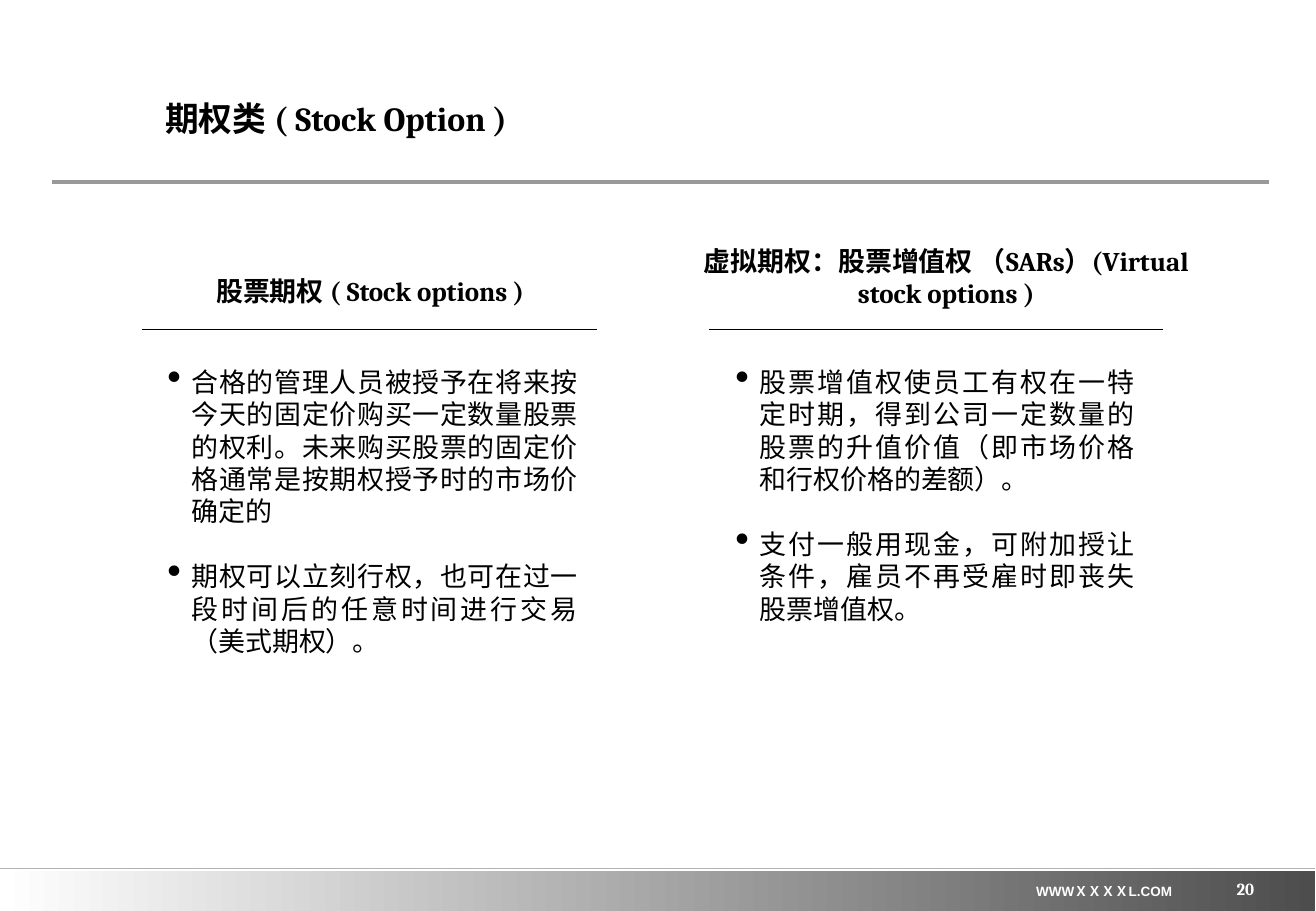
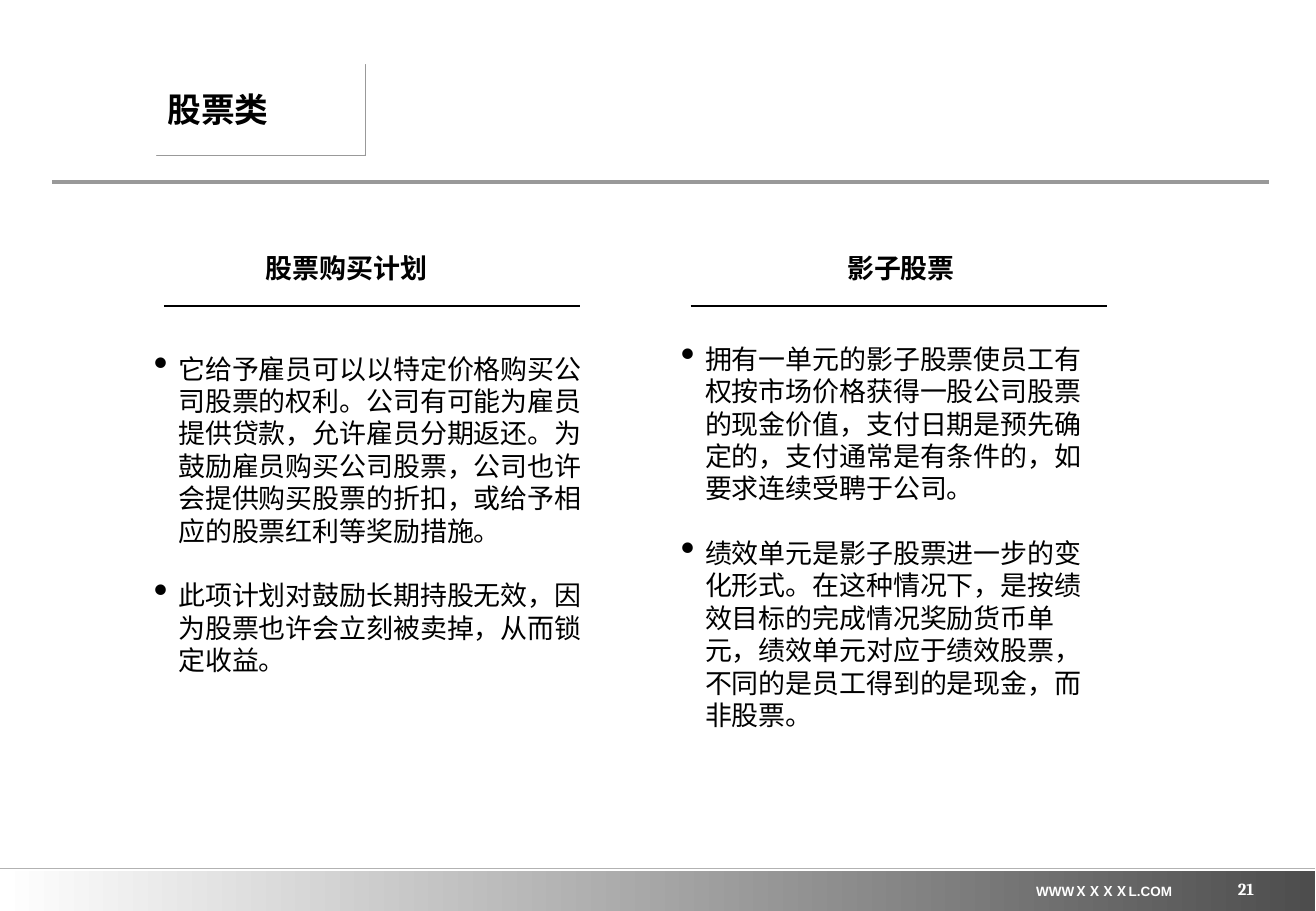
import dataclasses
import typing

import lxml.etree
import pptx
import pptx.dml.color
import pptx.enum.dml
import pptx.enum.shapes
import pptx.enum.text
import pptx.oxml.ns
import pptx.util

Inches = pptx.util.Inches
Pt = pptx.util.Pt
RGBColor = pptx.dml.color.RGBColor
Align = pptx.enum.text.PP_ALIGN
Anchor = pptx.enum.text.MSO_ANCHOR
qn = pptx.oxml.ns.qn


@dataclasses.dataclass(frozen=True)
class Theme:
    black: str = "000000"
    white: str = "FFFFFF"
    rule: str = "999999"
    band_end: str = "4D4D4D"
    band_edge: str = "B2B2B2"
    heading_font: str = "Cambria"
    body_font: str = "Times New Roman"
    footer_font: str = "Arial"
    title_size: float = 20
    text_size: float = 16
    number_size: float = 10
    footer_size: float = 8
    paragraph_gap: float = 19.2


THEME = Theme()


class Box(typing.NamedTuple):
    left: float
    top: float
    width: float
    height: float

    def lengths(self) -> list[int]:
        return [Inches(value) for value in self]


class TextStyle(typing.NamedTuple):
    size: float
    font: str = THEME.heading_font
    color: str = THEME.black
    bold: bool = True
    align: Align = Align.LEFT
    bulleted: bool = False


class Rule(typing.NamedTuple):
    left: float
    right: float
    top: float
    color: str = THEME.black
    weight: float = 0.75


@dataclasses.dataclass(frozen=True)
class Column:
    heading: str
    heading_box: Box
    rule: Rule
    body_box: Box
    points: tuple[str, ...]


@dataclasses.dataclass(frozen=True)
class Page:
    number: int
    title: str
    title_box: Box
    framed_title: bool
    heading_align: Align
    body_font: str
    body_align: Align
    columns: tuple[Column, ...]


NO_MARGINS = dict.fromkeys(
    ("margin_left", "margin_top", "margin_right", "margin_bottom"), 0
)
TITLE = TextStyle(THEME.title_size)
NUMBER = TextStyle(THEME.number_size, color=THEME.white, align=Align.RIGHT)
FOOTER = TextStyle(
    THEME.footer_size, THEME.footer_font, THEME.white, align=Align.CENTER
)

SHARED_RULES = (
    Rule(0.43, 10.45, 1.5, THEME.rule, 2.5),
    Rule(0, 10.83, 7.15, THEME.band_edge, 1),
)

PAGES = (
    Page(
        20, "期权类 ( Stock Option )", Box(1.36, 0.68, 3.79, 0.58), False,
        Align.CENTER, THEME.body_font, Align.JUSTIFY,
        (
            Column(
                "股票期权 ( Stock options )",
                Box(1.26, 2.21, 3.58, 0.5),
                Rule(1.17, 4.92, 2.71),
                Box(1.28, 2.96, 3.58, 2.92),
                (
                    "合格的管理人员被授予在将来按今天的固定价购买一定数量股票的权利。"
                    "未来购买股票的固定价格通常是按期权授予时的市场价确定的",
                    "期权可以立刻行权，也可在过一段时间后的任意时间进行交易（美式期权）。",
                ),
            ),
            Column(
                "虚拟期权：股票增值权 （SARs）(Virtual stock options )",
                Box(5.67, 1.96, 4.25, 0.75),
                Rule(5.84, 9.58, 2.71),
                Box(5.96, 2.96, 3.49, 2.42),
                (
                    "股票增值权使员工有权在一特定时期，得到公司一定数量的股票的升值价值"
                    "（即市场价格和行权价格的差额）。",
                    "支付一般用现金，可附加授让条件，雇员不再受雇时即丧失股票增值权。",
                ),
            ),
        ),
    ),
    Page(
        21, "股票类", Box(1.28, 0.52, 1.72, 0.75), True,
        Align.JUSTIFY, THEME.heading_font, Align.LEFT,
        (
            Column(
                "股票购买计划",
                Box(2.09, 2.02, 1.88, 0.42),
                Rule(1.35, 4.78, 2.52),
                Box(1.17, 2.85, 3.79, 3.08),
                (
                    "它给予雇员可以以特定价格购买公司股票的权利。公司有可能为雇员提供贷款，"
                    "允许雇员分期返还。为鼓励雇员购买公司股票，公司也许会提供购买股票的折扣，"
                    "或给予相应的股票红利等奖励措施。",
                    "此项计划对鼓励长期持股无效，因为股票也许会立刻被卖掉，从而锁定收益。",
                ),
            ),
            Column(
                "影子股票",
                Box(6.88, 2.02, 1.25, 0.42),
                Rule(5.69, 9.12, 2.52),
                Box(5.51, 2.77, 3.7, 3.5),
                (
                    "拥有一单元的影子股票使员工有权按市场价格获得一股公司股票的现金价值，"
                    "支付日期是预先确定的，支付通常是有条件的，如要求连续受聘于公司。",
                    "绩效单元是影子股票进一步的变化形式。在这种情况下，"
                    "是按绩效目标的完成情况奖励货币单元，绩效单元对应于绩效股票，"
                    "不同的是员工得到的是现金，而非股票。",
                ),
            ),
        ),
    ),
)


def set_attributes(target: typing.Any, values: dict[str, typing.Any]) -> None:
    for name, value in values.items():
        setattr(target, name, value)


def add_bullet(paragraph: typing.Any) -> None:
    properties = paragraph._p.get_or_add_pPr()
    properties.set("marL", str(Inches(0.2)))
    properties.set("indent", str(Inches(-0.2)))
    properties.set("hangingPunct", "0")
    color = lxml.etree.SubElement(properties, qn("a:buClr"))
    lxml.etree.SubElement(color, qn("a:srgbClr"), val=THEME.black)
    lxml.etree.SubElement(properties, qn("a:buSzPct"), val="150000")
    lxml.etree.SubElement(properties, qn("a:buChar"), char="•")


def write_text(
    shape: typing.Any, texts: tuple[str, ...], style: TextStyle, **frame_format: typing.Any
) -> None:
    frame = shape.text_frame
    set_attributes(frame, {"word_wrap": True, **frame_format})
    for index, text in enumerate(texts):
        paragraph = frame.add_paragraph() if index else frame.paragraphs[0]
        paragraph.alignment = style.align
        if index:
            paragraph.space_before = Pt(THEME.paragraph_gap)
        if style.bulleted:
            add_bullet(paragraph)
        run = paragraph.add_run()
        run.text = text
        set_attributes(
            run.font,
            {"size": Pt(style.size), "name": style.font, "bold": style.bold},
        )
        run.font.color.rgb = RGBColor.from_string(style.color)


def add_text(
    slide: typing.Any, box: Box, texts: tuple[str, ...], style: TextStyle,
    **frame_format: typing.Any,
) -> None:
    shape = slide.shapes.add_textbox(*box.lengths())
    write_text(shape, texts, style, **frame_format)


def add_rectangle(slide: typing.Any, box: Box) -> typing.Any:
    shape = slide.shapes.add_shape(
        pptx.enum.shapes.MSO_SHAPE.RECTANGLE, *box.lengths()
    )
    shape.shadow.inherit = False
    return shape


def add_rule(slide: typing.Any, rule: Rule) -> None:
    connector = slide.shapes.add_connector(
        pptx.enum.shapes.MSO_CONNECTOR.STRAIGHT,
        Inches(rule.left), Inches(rule.top), Inches(rule.right), Inches(rule.top),
    )
    connector.line.color.rgb = RGBColor.from_string(rule.color)
    connector.line.width = Pt(rule.weight)
    lxml.etree.SubElement(connector._element.spPr, qn("a:effectLst"))


def add_shared_parts(slide: typing.Any, number: int) -> None:
    band = add_rectangle(slide, Box(0, 7.17, 10.83, 0.33))
    band.line.fill.background()
    band.fill.gradient()
    band.fill.gradient_angle = 0
    for stop, color, position in zip(
        band.fill.gradient_stops, (THEME.white, THEME.band_end), (0, 1)
    ):
        stop.color.rgb = RGBColor.from_string(color)
        stop.position = position
    for rule in SHARED_RULES:
        add_rule(slide, rule)
    add_text(slide, Box(8.2, 7.22, 1.79, 0.24), ("WWWＸＸＸＸL.COM",), FOOTER)
    add_text(
        slide, Box(8.07, 7.07, 2.26, 0.33), (str(number),), NUMBER,
        vertical_anchor=Anchor.BOTTOM, **NO_MARGINS,
    )


def add_framed_title(slide: typing.Any, page: Page) -> None:
    shape = add_rectangle(slide, page.title_box)
    shape.fill.solid()
    shape.fill.fore_color.rgb = RGBColor.from_string(THEME.white)
    shape.line.color.rgb = RGBColor.from_string(THEME.white)
    shape.line.width = Pt(0.75)
    effects = shape._element.spPr.find(qn("a:effectLst"))
    shadow = lxml.etree.SubElement(
        effects, qn("a:outerShdw"), dist=str(Pt(1.4)), dir="2700000",
        algn="ctr", rotWithShape="0",
    )
    lxml.etree.SubElement(shadow, qn("a:srgbClr"), val=THEME.rule)
    write_text(shape, (page.title,), TITLE, vertical_anchor=Anchor.MIDDLE)


def add_page(presentation: typing.Any, page: Page) -> None:
    slide = presentation.slides.add_slide(presentation.slide_layouts[6])
    add_shared_parts(slide, page.number)
    if page.framed_title:
        add_framed_title(slide, page)
    else:
        add_text(
            slide, page.title_box, (page.title,), TITLE,
            vertical_anchor=Anchor.MIDDLE, **NO_MARGINS,
        )
    heading = TextStyle(THEME.text_size, align=page.heading_align)
    body = TextStyle(
        THEME.text_size, page.body_font, bold=False, align=page.body_align, bulleted=True
    )
    for column in page.columns:
        add_text(slide, column.heading_box, (column.heading,), heading)
        add_rule(slide, column.rule)
        add_text(slide, column.body_box, column.points, body)


def main() -> None:
    presentation = pptx.Presentation()
    set_attributes(
        presentation, {"slide_width": Inches(10.84), "slide_height": Inches(7.5)}
    )
    for page in PAGES:
        add_page(presentation, page)
    presentation.save("out.pptx")


if __name__ == "__main__":
    main()
